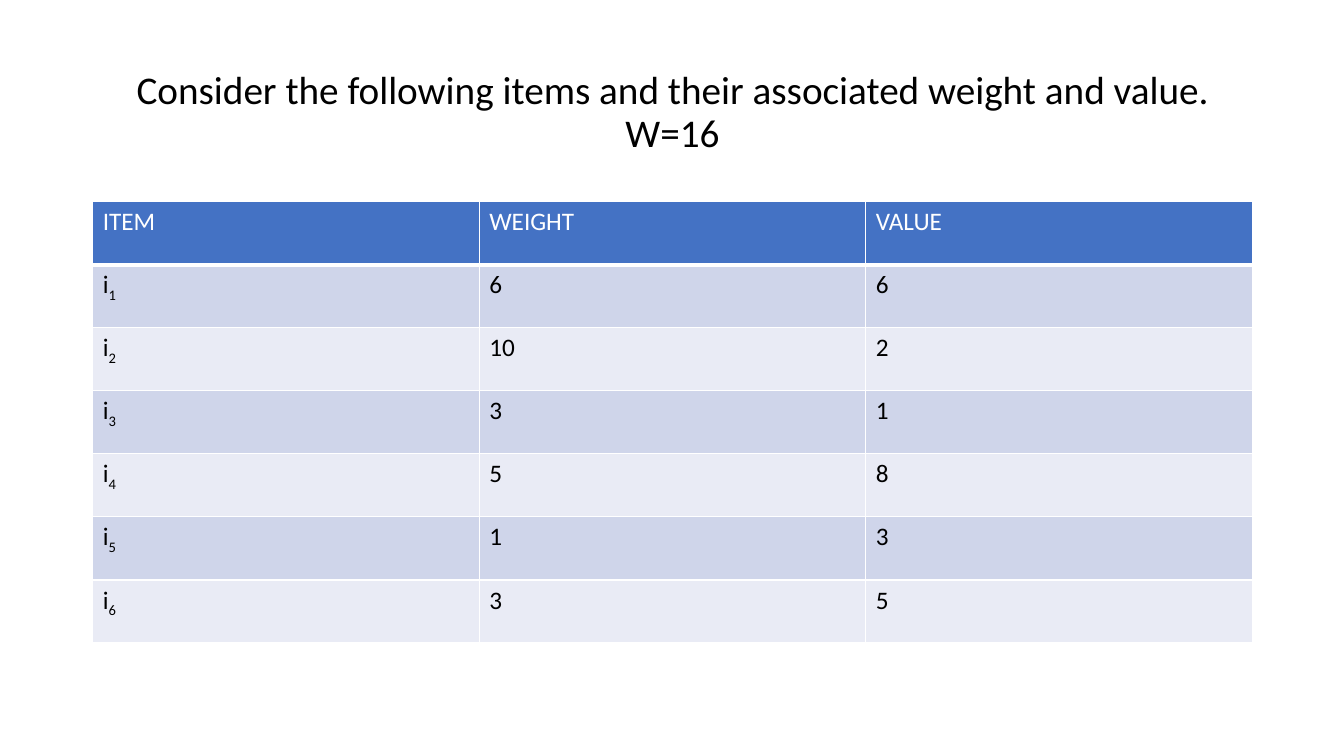
import dataclasses

import lxml.etree
import pptx
import pptx.dml.color
import pptx.enum.text
import pptx.oxml.ns
import pptx.util

FACE = "Calibri"
WHITE, BLACK, BLUE = "FFFFFF", "000000", "4472C4"
BANDS = ("CFD5EA", "E9EBF5")
WIDE, HIGH = pptx.util.Inches(13.33), pptx.util.Inches(7.5)
LEFT, SPAN = 0.92 / 13.33, 11.5 / 13.33  # shares of slide width
HEADS = ("ITEM", "WEIGHT", "VALUE")


@dataclasses.dataclass
class Item:
    weight: int
    value: int


ITEMS = (Item(6, 6), Item(10, 2), Item(3, 1), Item(5, 8), Item(1, 3), Item(3, 5))


def color(code: str) -> pptx.dml.color.RGBColor:
    return pptx.dml.color.RGBColor.from_string(code)


def style(para, size: int, code: str) -> None:
    para.font.name = FACE
    para.font.size = pptx.util.Pt(size)
    para.font.bold = False
    para.font.color.rgb = color(code)


def edge(cell, base: int) -> None:
    """Draw white lines round a cell; base is the bottom width in points."""
    props = cell._tc.get_or_add_tcPr()
    name = pptx.oxml.ns.qn
    for side, width in (("L", 1), ("R", 1), ("T", 1), ("B", base)):
        line = lxml.etree.SubElement(props, name(f"a:ln{side}"), w=str(pptx.util.Pt(width)))
        fill = lxml.etree.SubElement(line, name("a:solidFill"))
        lxml.etree.SubElement(fill, name("a:srgbClr"), val=WHITE)


def paint(cell, text: str, fill: str, ink: str, sub: str = "", base: int = 1) -> None:
    edge(cell, base)
    cell.fill.solid()
    cell.fill.fore_color.rgb = color(fill)
    para = cell.text_frame.paragraphs[0]
    style(para, 18, ink)
    para.add_run().text = text
    if sub:
        run = para.add_run()
        run.text = sub
        run._r.get_or_add_rPr().set("baseline", "-25000")


def add_title(slide) -> None:
    title = slide.shapes.title
    title.left, title.top = int(WIDE * LEFT), int(HIGH * 0.4 / 7.5)
    title.width, title.height = int(WIDE * SPAN), int(HIGH * 1.45 / 7.5)
    frame = title.text_frame
    frame.auto_size = pptx.enum.text.MSO_AUTO_SIZE.NONE
    frame.vertical_anchor = pptx.enum.text.MSO_ANCHOR.MIDDLE
    para = frame.paragraphs[0]
    para.alignment = pptx.enum.text.PP_ALIGN.CENTER
    para.line_spacing = 0.9
    style(para, 28, BLACK)
    para.add_run().text = "Consider the following items and their associated weight and value."
    para.add_line_break()
    para.add_run().text = "W=16"


def add_items(slide) -> None:
    rows = len(ITEMS) + 1
    table = slide.shapes.add_table(
        rows, len(HEADS), int(WIDE * LEFT), int(HIGH * 2 / 7.5),
        int(WIDE * SPAN), int(HIGH * 4.38 / 7.5),
    ).table
    # Header row
    for col, head in enumerate(HEADS):
        paint(table.cell(0, col), head, BLUE, WHITE, base=3)
    # Banded item rows
    for row, item in enumerate(ITEMS, 1):
        fill = BANDS[(row - 1) % 2]
        paint(table.cell(row, 0), "i", fill, BLACK, sub=str(row))
        for col, num in enumerate((item.weight, item.value), 1):
            paint(table.cell(row, col), str(num), fill, BLACK)


def main() -> None:
    deck = pptx.Presentation()
    deck.slide_width, deck.slide_height = WIDE, HIGH
    slide = deck.slides.add_slide(deck.slide_layouts[5])
    add_title(slide)
    add_items(slide)
    deck.save("out.pptx")


if __name__ == "__main__":
    main()
